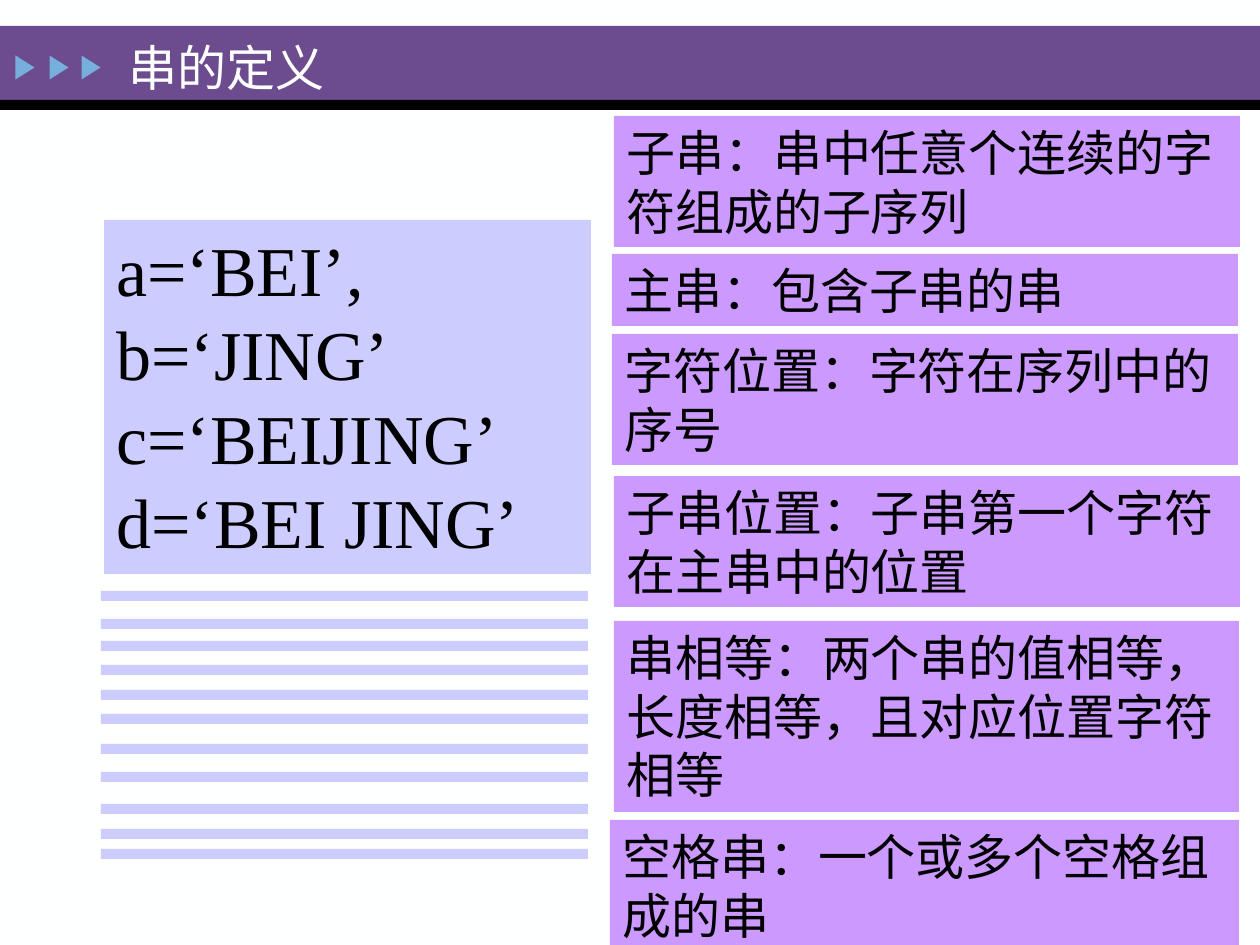
"""Build the slide on the definition of strings."""
from pptx import Presentation
from pptx import util as u
from pptx.dml.color import RGBColor
from pptx.enum import shapes, text

EMU_PER_PX = 914400 / 126
FONT = "Times New Roman"
LILAC, VIOLET = "CCCCFF", "CC99FF"
EXAMPLES = ["a=‘BEI’,", "b=‘JING’", "c=‘BEIJING’", "d=‘BEI JING’"]
DEFINITIONS = [
    (614, 116, 626, 131, "子串：串中任意个连续的字符组成的子序列"),
    (612, 254, 626, 72, "主串：包含子串的串"),
    (612, 334, 626, 131, "字符位置：字符在序列中的序号"),
    (614, 476, 626, 131, "子串位置：子串第一个字符在主串中的位置"),
    (614, 621, 625, 191, "串相等：两个串的值相等，长度相等，且对应位置字符相等"),
    (610, 820, 629, 131, "空格串：一个或多个空格组成的串"),
]
STRIPE_TOPS = [591, 619, 641, 665, 690, 714, 744, 772, 804, 829, 849]


def px(n):
    """Turn pixels into EMU."""
    return u.Emu(round(n * EMU_PER_PX))


def color(value):
    """Turn a hex string into a colour."""
    return RGBColor.from_string(value)


def add_block(s, x, y, w, h, fill, kind=shapes.MSO_SHAPE.RECTANGLE):
    """Add a plain filled shape without outline or shadow."""
    sp = s.shapes.add_shape(kind, px(x), px(y), px(w), px(h))
    sp.shadow.inherit = False
    sp.fill.solid()
    sp.fill.fore_color.rgb = color(fill)
    sp.line.fill.background()
    return sp


def write(sp, lines, size, ink="000000", anchor=text.MSO_ANCHOR.TOP):
    """Write left-aligned paragraphs into a shape."""
    tf = sp.text_frame
    tf.word_wrap = True
    tf.vertical_anchor = anchor
    tf.text = "\n".join(lines)
    for p in tf.paragraphs:
        p.alignment = text.PP_ALIGN.LEFT
        p.font.name = FONT
        p.font.size = u.Pt(size)
        p.font.color.rgb = color(ink)


def add_header(s):
    """Add the title bar with its three arrows."""
    add_block(s, 0, 26, 1260, 74, "6C4C8F")
    add_block(s, 0, 100, 1260, 10, "000000")
    for x in (13, 47, 79):
        arrow = add_block(s, x, 58, 24, 19, "76AEDD",
                          shapes.MSO_SHAPE.ISOSCELES_TRIANGLE)
        arrow.rotation = 90


def add_title(s, title):
    """Place the title over the header bar."""
    sp = s.shapes.title
    sp.left, sp.top, sp.width, sp.height = px(116), px(35), px(882), px(63)
    write(sp, [title], 28, "FEFFFF", text.MSO_ANCHOR.MIDDLE)
    sp.element.getparent().append(sp.element)


def main():
    """Build and save the slide."""
    prs = Presentation()
    prs.slide_width, prs.slide_height = px(1260), px(945)
    s = prs.slides.add_slide(prs.slide_layouts[5])
    s.background.fill.solid()
    s.background.fill.fore_color.rgb = color("FEFFFF")
    add_header(s)
    write(add_block(s, 104, 220, 487, 354, LILAC), EXAMPLES, 40)
    for x, y, w, h, words in DEFINITIONS:
        write(add_block(s, x, y, w, h, VIOLET), [words], 28)
    for y in STRIPE_TOPS:
        add_block(s, 101, y, 487, 10, LILAC)
    add_title(s, "串的定义")
    prs.save("out.pptx")


if __name__ == "__main__":
    main()
